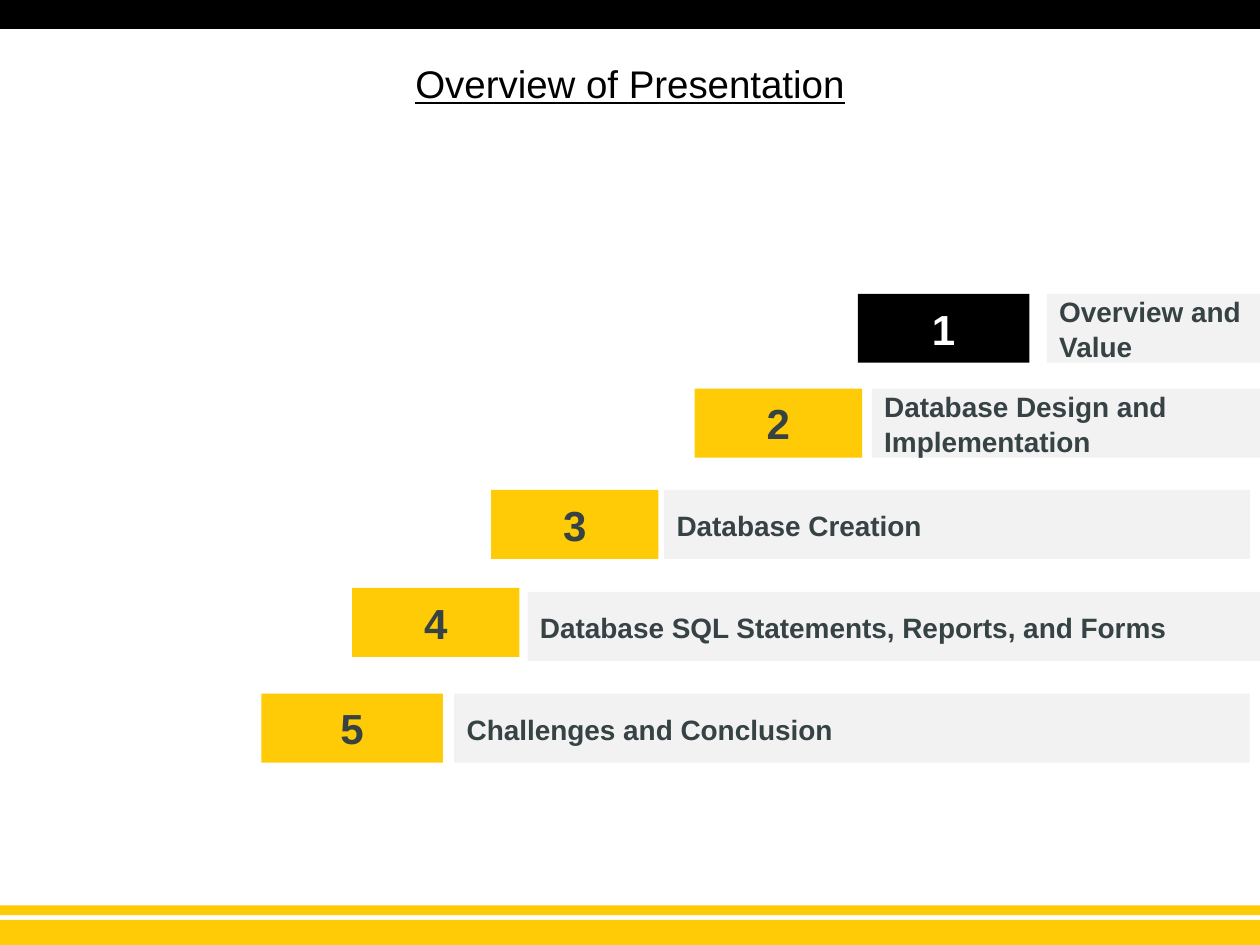
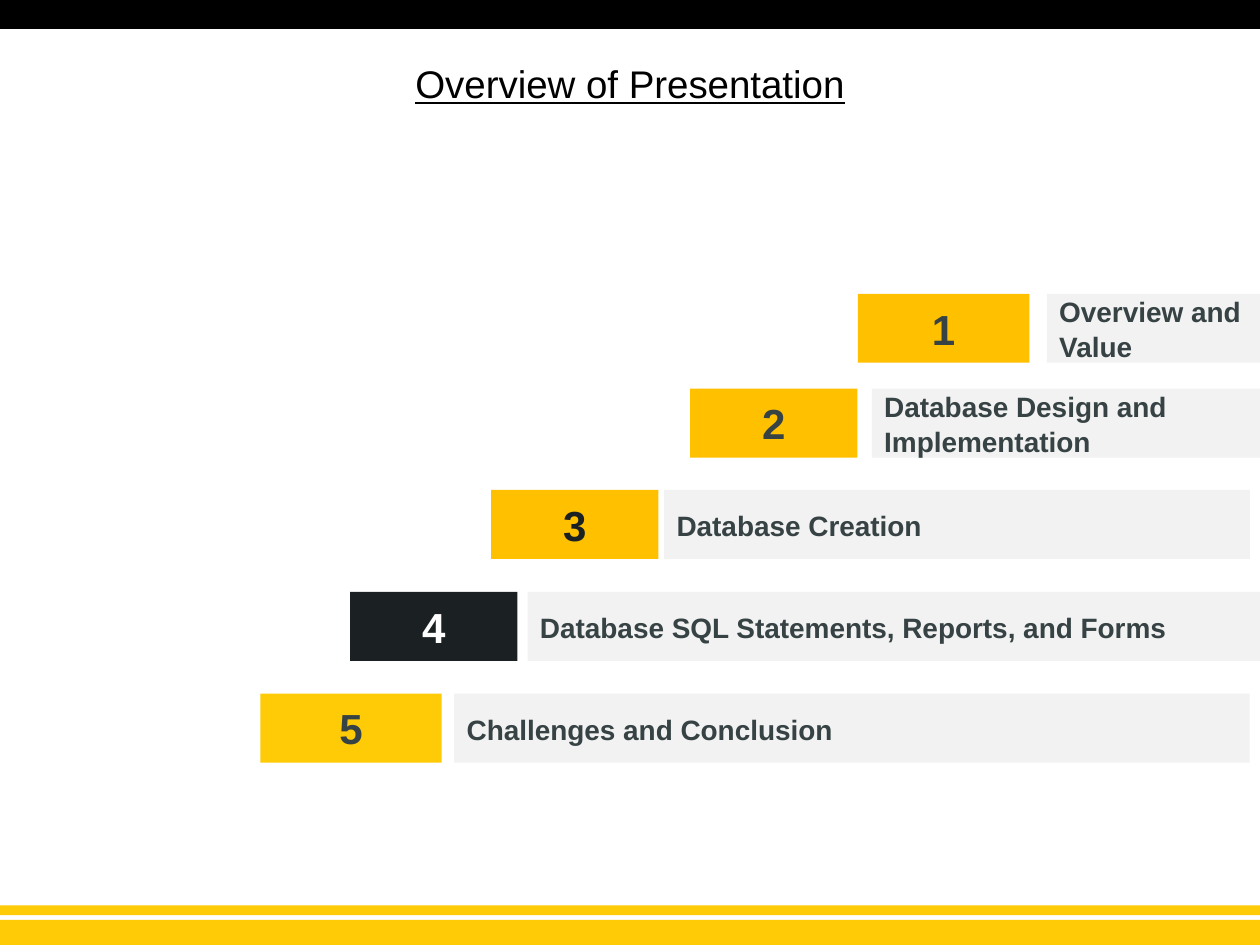
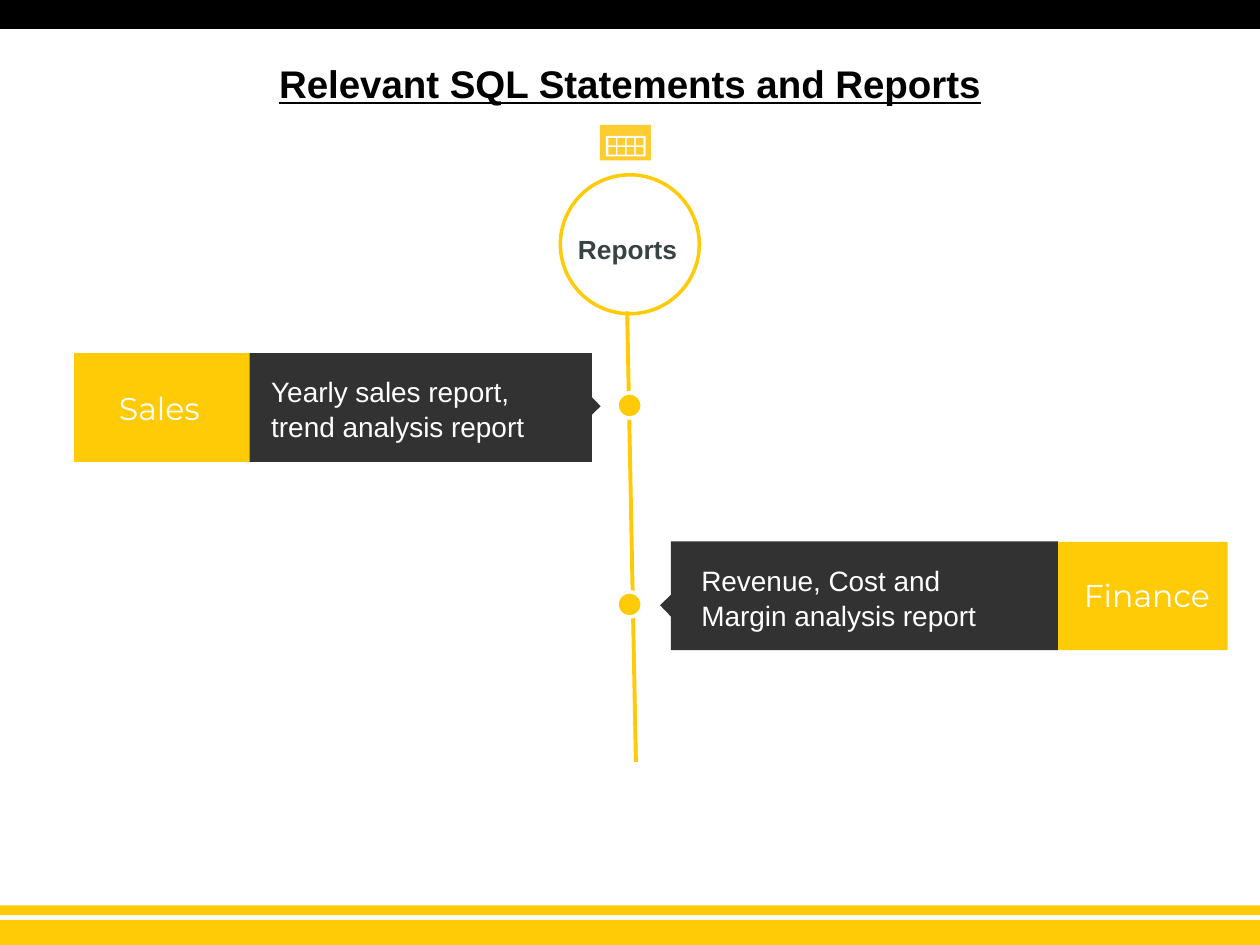
import pptx
import pptx.util
import pptx.dml.color
import pptx.enum.shapes
import pptx.enum.text
import pptx.oxml.ns
import lxml.etree

Pt = pptx.util.Pt
RGBColor = pptx.dml.color.RGBColor
Kind = pptx.enum.shapes.MSO_SHAPE
Align = pptx.enum.text.PP_ALIGN
Anchor = pptx.enum.text.MSO_ANCHOR

# Colours
GOLD = RGBColor(0xFF, 0xCA, 0x06)
AMBER = RGBColor(0xFF, 0xC0, 0x00)
SUN = RGBColor(0xFC, 0xCC, 0x30)
BLACK = RGBColor(0, 0, 0)
WHITE = RGBColor(0xFF, 0xFF, 0xFF)
PALE = RGBColor(0xF2, 0xF2, 0xF2)
SLATE = RGBColor(0x36, 0x42, 0x43)
INK = RGBColor(0x1B, 0x21, 0x22)
COAL = RGBColor(0x32, 0x32, 0x32)

WIDE, HIGH = 720, 540
ROW = 39.4

# Each step: text, left, top and width of its bar, width of its badge
STEPS = [
    ("Overview and Value", 598.2, 167.9, 121.8, 98),
    ("Database Design and Implementation", 498.2, 222.1, 221.8, 95.6),
    ("Database Creation", 379.5, 280, 334.7, 95.6),
    ("Database SQL Statements, Reports, and Forms", 301.5, 338.3, 418.5, 95.6),
    ("Challenges and Conclusion", 259.6, 396.4, 454.5, 103.7),
]

# Each badge: left, top, fill, text colour
START = [
    (490.2, 167.9, BLACK, WHITE),
    (397, 222.1, GOLD, SLATE),
    (280.6, 280, GOLD, SLATE),
    (201.2, 336, GOLD, SLATE),
    (149.4, 396.4, GOLD, SLATE),
]
FOURTH = [
    (490.2, 167.9, AMBER, SLATE),
    (394.4, 222.1, AMBER, SLATE),
    (280.6, 280, AMBER, INK),
    (200, 338.3, INK, WHITE),
    (148.8, 396.4, GOLD, SLATE),
]


def write(frame, text, size=16, font="Arial", color=BLACK, bold=False,
          under=False, align=Align.LEFT, anchor=Anchor.TOP, inset=3.6,
          space=1.0):
    """Put one formatted paragraph in a text frame."""
    frame.word_wrap = True
    frame.vertical_anchor = anchor
    frame.margin_left = frame.margin_right = Pt(7.2)
    frame.margin_top = frame.margin_bottom = Pt(inset)
    par = frame.paragraphs[0]
    par.alignment = align
    par.line_spacing = space
    run = par.add_run()
    run.text = text
    run.font.name = font
    run.font.size = Pt(size)
    run.font.bold = bold
    run.font.underline = under
    run.font.color.rgb = color


def shape(slide, left, top, width, height, fill, kind=Kind.RECTANGLE,
          line=None, turn=0):
    item = slide.shapes.add_shape(kind, Pt(left), Pt(top), Pt(width), Pt(height))
    item.shadow.inherit = False
    item.fill.solid()
    item.fill.fore_color.rgb = fill
    if line is None:
        item.line.fill.background()
    else:
        item.line.color.rgb = line
        item.line.width = Pt(2)
    item.rotation = turn
    return item


def label(slide, left, top, width, height, text, **style):
    box = slide.shapes.add_textbox(Pt(left), Pt(top), Pt(width), Pt(height))
    write(box.text_frame, text, **style)


def stem(slide, start, end):
    line = slide.shapes.add_connector(
        pptx.enum.shapes.MSO_CONNECTOR.STRAIGHT, *map(Pt, start + end))
    line.line.color.rgb = GOLD
    line.line.width = Pt(2.25)
    lxml.etree.SubElement(line._element.spPr, pptx.oxml.ns.qn("a:effectLst"))


def page(deck, title, bold=False):
    """Add a slide with the shared bands and title."""
    slide = deck.slides.add_slide(deck.slide_layouts[6])
    shape(slide, 0, 525.6, WIDE, 14.4, GOLD)
    shape(slide, 0, 0, WIDE, 16.6, BLACK)
    shape(slide, 0, 517.4, WIDE, 5.6, GOLD)
    label(slide, 36, 22.4, 648, 50.4, title, size=22, bold=bold, under=True,
          align=Align.CENTER, anchor=Anchor.MIDDLE)
    return slide


def agenda(deck, badges):
    slide = page(deck, "Overview of Presentation")
    pairs = zip(STEPS, badges)
    for num, (step, badge) in enumerate(pairs, 1):
        text, left, top, width, span = step
        spot, level, fill, color = badge
        box = shape(slide, spot, level, span, ROW, fill)
        write(box.text_frame, str(num), size=24, color=color, bold=True,
              align=Align.CENTER, anchor=Anchor.MIDDLE)
        bar = shape(slide, left, top, width, ROW, PALE)
        write(bar.text_frame, text, color=SLATE, bold=True,
              anchor=Anchor.MIDDLE, space=1.05)


def table_icon(slide):
    shape(slide, 342.8, 71.4, 29.2, 20.2, SUN)
    shape(slide, 346.2, 77.6, 22.8, 11.8, WHITE)
    for row in range(2):
        for col in range(4):
            shape(slide, 347.6 + 5.28 * col, 78.9 + 5.2 * row, 4.3, 4.3, SUN)


def card(slide, body, tab, tip, turn):
    """Draw a dark body, a gold tab and a pointer to the stem."""
    shape(slide, *body, COAL)
    shape(slide, *tab, GOLD)
    shape(slide, *tip, 10.8, 10.8, COAL, kind=Kind.RIGHT_TRIANGLE, turn=turn)


def reports(deck):
    slide = page(deck, "Relevant SQL Statements and Reports", bold=True)
    table_icon(slide)

    # Stem with its head and dots
    shape(slide, 320.2, 99.9, 79.4, 79.4, WHITE, kind=Kind.OVAL, line=GOLD)
    stem(slide, (358.4, 178), (363.4, 435.4))
    for top in (224.5, 338.2):
        shape(slide, 352.6, top, 14.4, 14.4, GOLD, kind=Kind.OVAL, line=WHITE)
    label(slide, 322.6, 129.6, 72, 36, "Reports", size=15, color=SLATE,
          bold=True, align=Align.CENTER)

    # Cards
    card(slide, (383.4, 309.4, 221.2, 62.2), (604.6, 309.6, 97, 62),
         (379.4, 340.6), 46)
    card(slide, (137.5, 201.8, 200.7, 62.2), (42.4, 201.8, 100.2, 62.2),
         (330.2, 226.6), 226)

    # Card text
    name = dict(size=18, font="Montserrat", color=WHITE, align=Align.CENTER)
    note = dict(color=WHITE, inset=0, space=1.05)
    label(slide, 604.6, 325.4, 101.6, 28.8, "Finance", **name)
    label(slide, 34.6, 218.6, 113, 28.8, "Sales", **name)
    label(slide, 393.7, 320.8, 189.4, 36.7,
          "Revenue, Cost and Margin analysis report", **note)
    label(slide, 147.9, 213.2, 179.3, 44.6,
          "Yearly sales report, trend analysis report", **note)


def main():
    deck = pptx.Presentation()
    deck.slide_width = Pt(WIDE)
    deck.slide_height = Pt(HIGH)
    agenda(deck, START)
    agenda(deck, FOURTH)
    reports(deck)
    deck.save("out.pptx")


if __name__ == "__main__":
    main()
